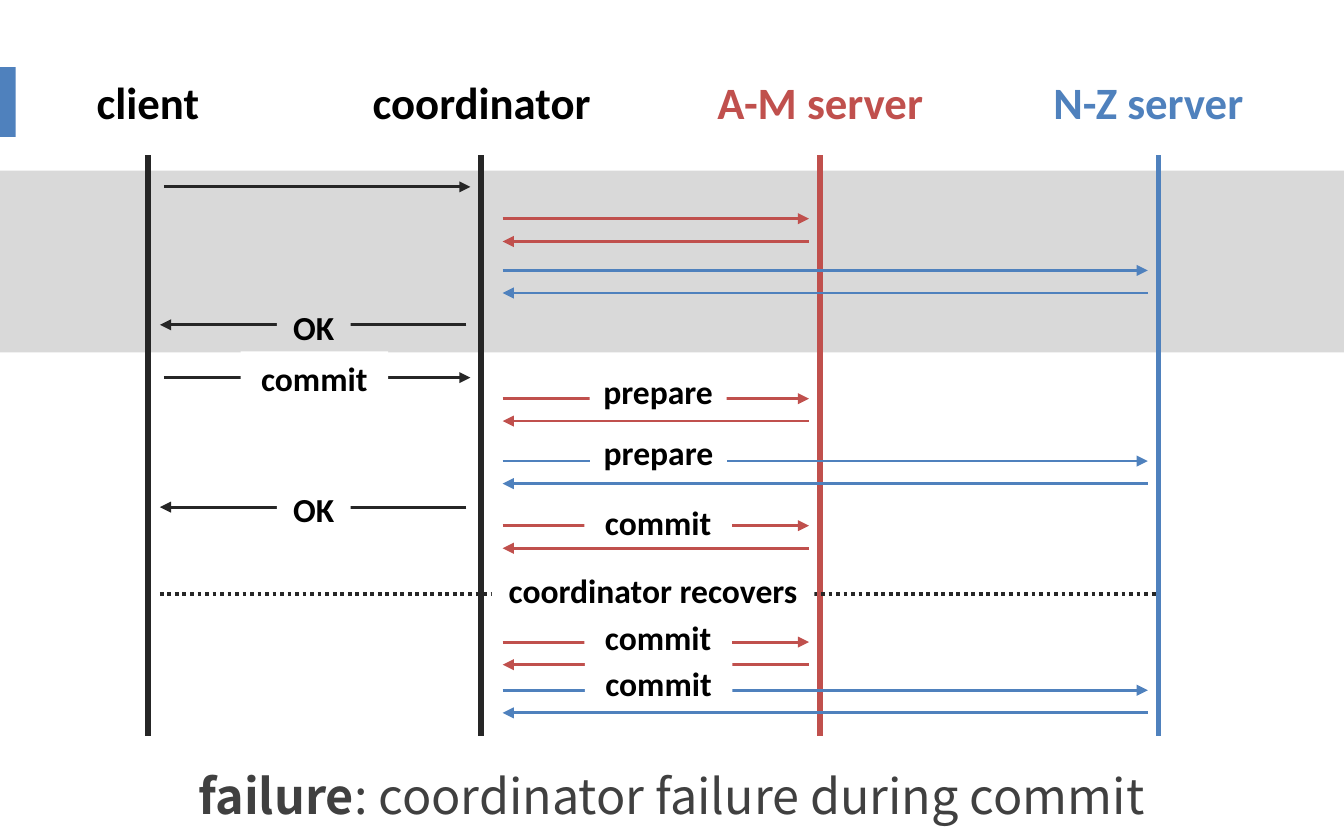
from lxml.etree import SubElement
from pptx import Presentation
from pptx.dml.color import RGBColor
from pptx.enum.dml import MSO_LINE
from pptx.enum.shapes import MSO_CONNECTOR, MSO_SHAPE
from pptx.enum.text import MSO_ANCHOR, MSO_AUTO_SIZE, PP_ALIGN
from pptx.oxml.ns import qn
from pptx.util import Pt

THEME = {
    "black": "000000", "ink": "262626", "gray": "404040",
    "red": "C0504D", "blue": "4F81BD", "band": "D9D9D9", "white": "FFFFFF",
    "font": "Calibri", "caption_font": "Noto Sans CJK SC",
    "heading": 24, "label": 18, "caption": 26,
}

# Content: name, lifeline x, heading centre, heading colour, lifeline colour
PARTICIPANTS = [
    ("client", 79.2, 79.2, "black", "ink"),
    ("coordinator", 257.8, 258, "black", "ink"),
    ("A-M server", 439.2, 439.4, "red", "red"),
    ("N-Z server", 620.6, 615.2, "blue", "blue"),
]
# Lanes: arrow start x, arrow end x, label centre x, colour
LANES = {
    "ask": (87.8, 252, 168.4, "ink"),
    "answer": (249.8, 85.7, 168.1, "ink"),
    "to A-M": (269.3, 433.4, 352.6, "red"),
    "from A-M": (433.4, 269.3, 352.6, "red"),
    "to N-Z": (269.3, 614.9, 352.8, "blue"),
    "from N-Z": (614.9, 269.3, 352.8, "blue"),
    "recovery": (85.7, 620.6, 349.9, "ink"),
}
# Messages in time order: lane, y, then label and label top if any
MESSAGES = [
    ("ask", 100.1),
    ("to A-M", 117.2),
    ("from A-M", 129.4),
    ("to N-Z", 144.9),
    ("from N-Z", 157),
    ("answer", 174, "OK", 160.8),
    ("ask", 202.3, "commit", 188.2),
    ("to A-M", 213.6, "prepare", 195.4),
    ("from A-M", 225.6),
    ("to N-Z", 247, "prepare", 227.6),
    ("from N-Z", 259.1),
    ("answer", 271.7, "OK", 258.5),
    ("to A-M", 281.6, "commit", 265.1),
    ("from A-M", 293.7),
    ("recovery", 318.1, "coordinator recovers", 301.9),
    ("to A-M", 344, "commit", 327),
    ("from A-M", 356.1),
    ("to N-Z", 369.8, "commit", 351.6),
    ("from N-Z", 381.9),
]
LABEL_WIDTHS = {"OK": 39.6, "commit": 79, "prepare": 73.4, "coordinator recovers": 172.8}
CAPTION = [("failure", True), (": coordinator failure during commit", False)]

SLIDE_W, SLIDE_H = 720, 450
LIFE_TOP, LIFE_BOTTOM = 83.3, 394.4
HEADING_TOP, HEADING_W, HEADING_H = 36.6, 147.6, 36.4
BAND_TOP, BAND_H = 91.4, 97.4
LABEL_H = 29.1

presentation = Presentation()
presentation.slide_width, presentation.slide_height = Pt(SLIDE_W), Pt(SLIDE_H)
slide = presentation.slides.add_slide(presentation.slide_layouts[5])


def color(name):
    return RGBColor.from_string(THEME[name])


def write(frame, runs, size, ink="black", font="font", wrap=False, anchor=MSO_ANCHOR.TOP):
    frame.word_wrap = wrap
    frame.auto_size = MSO_AUTO_SIZE.NONE
    frame.vertical_anchor = anchor
    paragraph = frame.paragraphs[0]
    paragraph.alignment = PP_ALIGN.CENTER
    for text, bold in runs:
        run = paragraph.add_run()
        run.text = text
        run.font.name, run.font.size = THEME[font], Pt(THEME[size])
        run.font.bold, run.font.color.rgb = bold, color(ink)
    return paragraph


def add_block(x, y, w, h, fill):
    block = slide.shapes.add_shape(MSO_SHAPE.RECTANGLE, Pt(x), Pt(y), Pt(w), Pt(h))
    block.shadow.inherit = False
    block.fill.solid()
    block.fill.fore_color.rgb = color(fill)
    block.line.fill.background()
    return block


def add_line(x1, y1, x2, y2, ink, width, arrow=False, dash=None):
    line = slide.shapes.add_connector(MSO_CONNECTOR.STRAIGHT, Pt(x1), Pt(y1), Pt(x2), Pt(y2))
    line.line.color.rgb = color(ink)
    line.line.width = Pt(width)
    if dash:
        line.line.dash_style = dash
    properties = line._element.spPr
    if arrow:
        SubElement(properties.find(qn("a:ln")), qn("a:tailEnd"), type="triangle")
    SubElement(properties, qn("a:effectLst"))


# Accent at the left edge and band behind the first phase
add_block(0, 36, 8.4, 37.4, "blue")
add_block(0, BAND_TOP, SLIDE_W, BAND_H, "band")

# Participants and their lifelines
for name, life_x, center, heading_ink, life_ink in PARTICIPANTS:
    heading = slide.shapes.add_textbox(
        Pt(center - HEADING_W / 2), Pt(HEADING_TOP), Pt(HEADING_W), Pt(HEADING_H))
    write(heading.text_frame, [(name, True)], "heading", ink=heading_ink, wrap=True)
    add_line(life_x, LIFE_TOP, life_x, LIFE_BOTTOM, life_ink, 3)

# Messages, each with its label on top
for lane, y, *label in MESSAGES:
    start, end, center, ink = LANES[lane]
    if lane == "recovery":
        add_line(start, y, end, y, ink, 2, dash=MSO_LINE.ROUND_DOT)
    else:
        add_line(start, y, end, y, ink, 1.5, arrow=True)
    if label:
        text, top = label
        width = LABEL_WIDTHS[text]
        in_band = y < BAND_TOP + BAND_H
        plate = add_block(center - width / 2, top, width, LABEL_H, "band" if in_band else "white")
        write(plate.text_frame, [(text, True)], "label")

# Caption
caption = slide.shapes.title
caption.left, caption.top, caption.width, caption.height = Pt(36), Pt(400.3), Pt(648), Pt(46)
paragraph = write(caption.text_frame, CAPTION, "caption", ink="gray", font="caption_font", wrap=True)
paragraph.line_spacing = 1.2
paragraph.space_before = Pt(0)

presentation.save("out.pptx")
